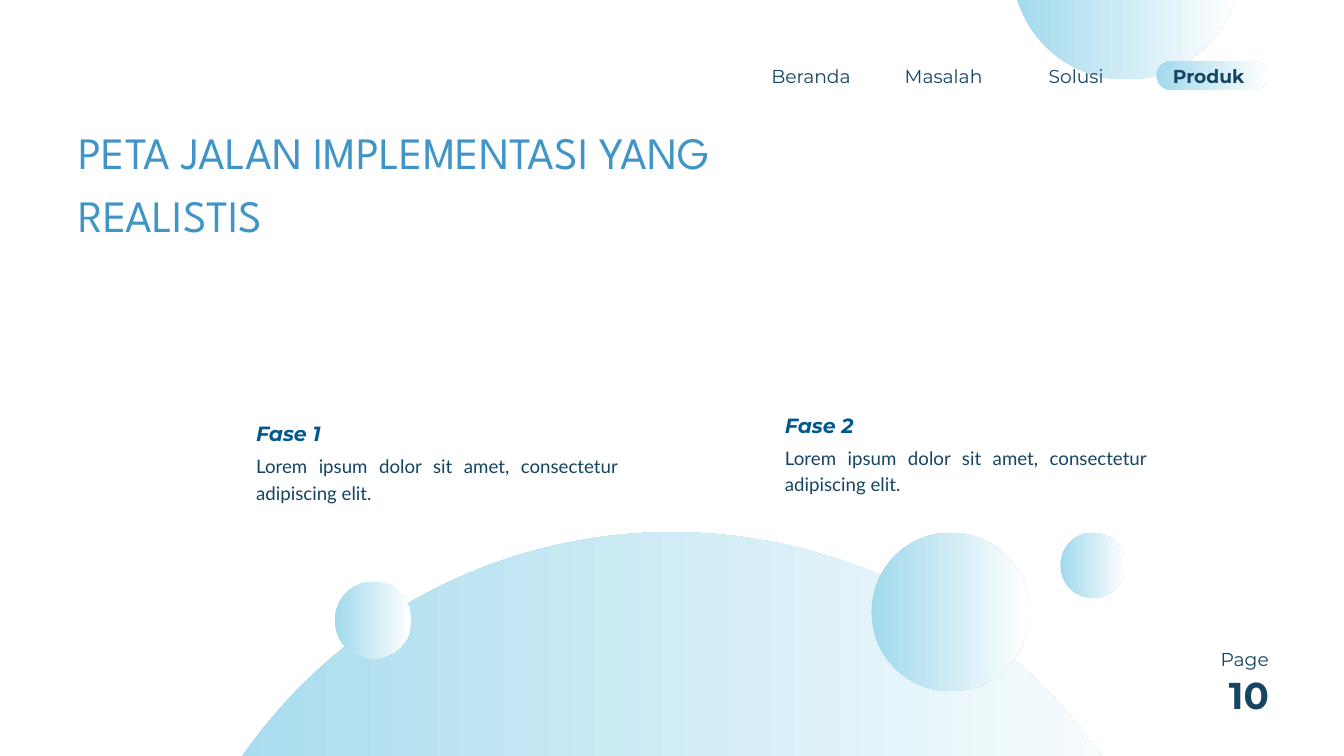
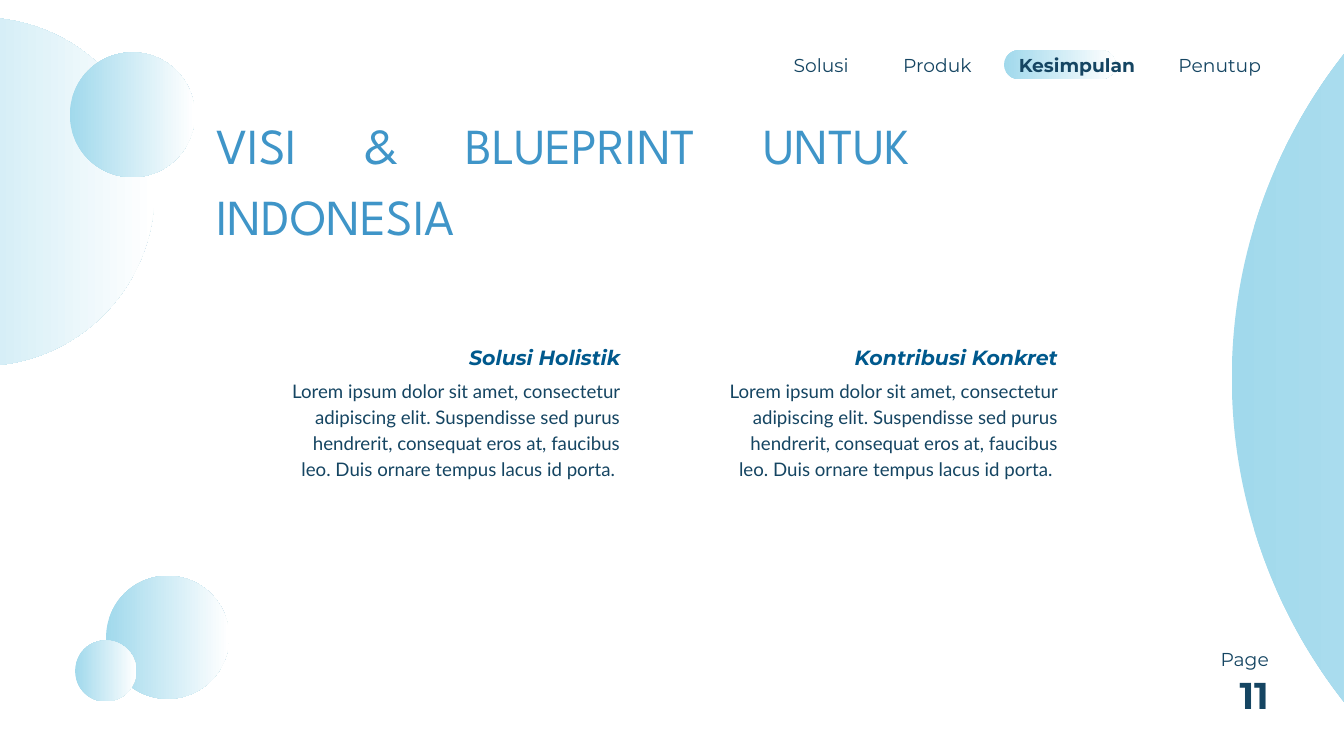
from collections import namedtuple

from pptx import Presentation
from pptx import util as u
from pptx.dml import color
from pptx.enum import shapes, text

Box = namedtuple("Box", "left top width height")

NAVY, OCEAN, SKY = "154562", "00598D", "3F95C8"
BUBBLE_FROM, BUBBLE_TO = "A1D9EC", "FFFFFF"
LEFT, RIGHT = text.PP_ALIGN.LEFT, text.PP_ALIGN.RIGHT
CENTER, JUSTIFY = text.PP_ALIGN.CENTER, text.PP_ALIGN.JUSTIFY
LEADING = 1.4

BODY = dict(name="Lato", size=20, ink=NAVY)
HEADING = dict(name="Montserrat", size=22, ink=OCEAN, bold=True, italic=True)
LABEL = dict(name="Montserrat", size=20, ink=NAVY)
ACTIVE = dict(LABEL, bold=True)
PAGE_NUMBER = dict(ACTIVE, size=40)
TITLE = dict(name="League Spartan", ink=SKY)

PAGE_BOX = Box(45.19, 24.36, 2.77, 2.61)
TAB_WIDTH, TAB_HEIGHT = 3.71, 0.94

SHORT_LOREM = "Lorem ipsum dolor sit amet, consectetur adipiscing elit. "
LONG_LOREM = (SHORT_LOREM + "Suspendisse sed purus hendrerit, consequat eros at, "
              "faucibus leo. Duis ornare tempus lacus id porta. ")


def rgb(hex_code):
    return color.RGBColor.from_string(hex_code)


def cm(box):
    return [u.Cm(length) for length in box]


def add_text(slide, box, words, style, align):
    frame = slide.shapes.add_textbox(*cm(box)).text_frame
    frame_format = dict(margin_left=0, margin_top=0, margin_right=0, margin_bottom=0,
                        word_wrap=True, auto_size=text.MSO_AUTO_SIZE.SHAPE_TO_FIT_TEXT)
    for key, value in frame_format.items():
        setattr(frame, key, value)
    line = frame.paragraphs[0]
    line.alignment = align
    line.line_spacing = u.Pt(round(style["size"] * LEADING, 1))
    run = line.add_run()
    run.text = words
    for key, value in style.items():
        if key == "ink":
            run.font.color.rgb = rgb(value)
        else:
            setattr(run.font, key, u.Pt(value) if key == "size" else value)


def add_gradient(slide, preset, box):
    blob = slide.shapes.add_shape(preset, *cm(box))
    blob.shadow.inherit = False
    blob.line.fill.background()
    blob.fill.gradient()
    blob.fill.gradient_angle = 0
    for stop, tint in zip(blob.fill.gradient_stops, (BUBBLE_FROM, BUBBLE_TO)):
        stop.color.rgb = rgb(tint)
    return blob


def add_bubbles(slide, bubbles):
    for left, top, diameter in bubbles:
        add_gradient(slide, shapes.MSO_SHAPE.OVAL, Box(left, top, diameter, diameter))


def add_page(slide, box, number):
    add_text(slide, box._replace(height=0.94), "Page", LABEL, RIGHT)
    add_text(slide, box._replace(top=box.top + 0.76, height=1.85),
             str(number), PAGE_NUMBER, RIGHT)


def add_point(slide, box, heading, body, align):
    add_text(slide, box._replace(height=1.02), heading, HEADING, align)
    add_text(slide, box._replace(top=box.top + 1.32, height=box.height - 1.32),
             body, BODY, align)


def add_navigation(slide, box, tabs, active, pill_offset):
    pill = add_gradient(slide, shapes.MSO_SHAPE.ROUNDED_RECTANGLE,
                        Box(box.left + pill_offset, box.top, 4.22, 1.09))
    pill.adjustments[0] = 0.5
    for name, offset, width in tabs:
        add_text(slide, Box(box.left + offset, box.top, width, box.height),
                 name, ACTIVE if name == active else LABEL, CENTER)


def new_slide(deck, bubbles, number):
    slide = deck.slides.add_slide(deck.slide_layouts[6])
    add_bubbles(slide, bubbles)
    add_page(slide, PAGE_BOX, number)
    return slide


def roadmap_slide(deck):
    bubbles = [(5.59, 20.12, 39.6), (32.94, 20.14, 5.99), (12.65, 22, 2.9),
               (40.08, 20.14, 2.46), (38.25, -5.61, 8.61)]
    slide = new_slide(deck, bubbles, 10)
    for phase, (left, top) in enumerate([(9.68, 15.75), (29.67, 15.44)], 1):
        add_point(slide, Box(left, top, 13.67, 3.25), f"Fase {phase}", SHORT_LOREM, JUSTIFY)
    add_text(slide, Box(2.97, 4.37, 29.51, 4.65),
             "PETA JALAN IMPLEMENTASI YANG REALISTIS", dict(TITLE, size=48), LEFT)
    names = ["Beranda", "Masalah", "Solusi", "Produk"]
    tabs = [(name, 5.01 * i, TAB_WIDTH) for i, name in enumerate(names)]
    add_navigation(slide, Box(28.8, 2.31, 18.74, TAB_HEIGHT), tabs, "Produk", 14.91)


def vision_slide(deck):
    bubbles = [(-7.34, 0.66, 13.18), (2.64, 1.98, 4.72), (46.56, -5.51, 39.6),
               (4.01, 21.77, 4.65), (2.84, 24.21, 2.31)]
    slide = new_slide(deck, bubbles, 11)
    add_text(slide, Box(8.18, 3.94, 26.21, 5.21),
             "VISI & BLUEPRINT UNTUK INDONESIA", dict(TITLE, size=54), JUSTIFY)
    for left, heading in [(10.82, "Solusi Holistik"), (27.36, "Kontribusi Konkret")]:
        add_point(slide, Box(left, 12.9, 12.62, 5.21), heading, LONG_LOREM, RIGHT)
    tabs = [("Solusi", 0, TAB_WIDTH), ("Produk", 4.4, TAB_WIDTH),
            ("Kesimpulan", 9.3, 4.45), ("Penutup", 15.07, TAB_WIDTH)]
    add_navigation(slide, Box(29.18, 1.9, 18.78, TAB_HEIGHT), tabs, "Kesimpulan", 8.77)


def main():
    deck = Presentation()
    deck.slide_width, deck.slide_height = u.Cm(50.8), u.Cm(28.58)
    roadmap_slide(deck)
    vision_slide(deck)
    deck.save("out.pptx")


if __name__ == "__main__":
    main()
